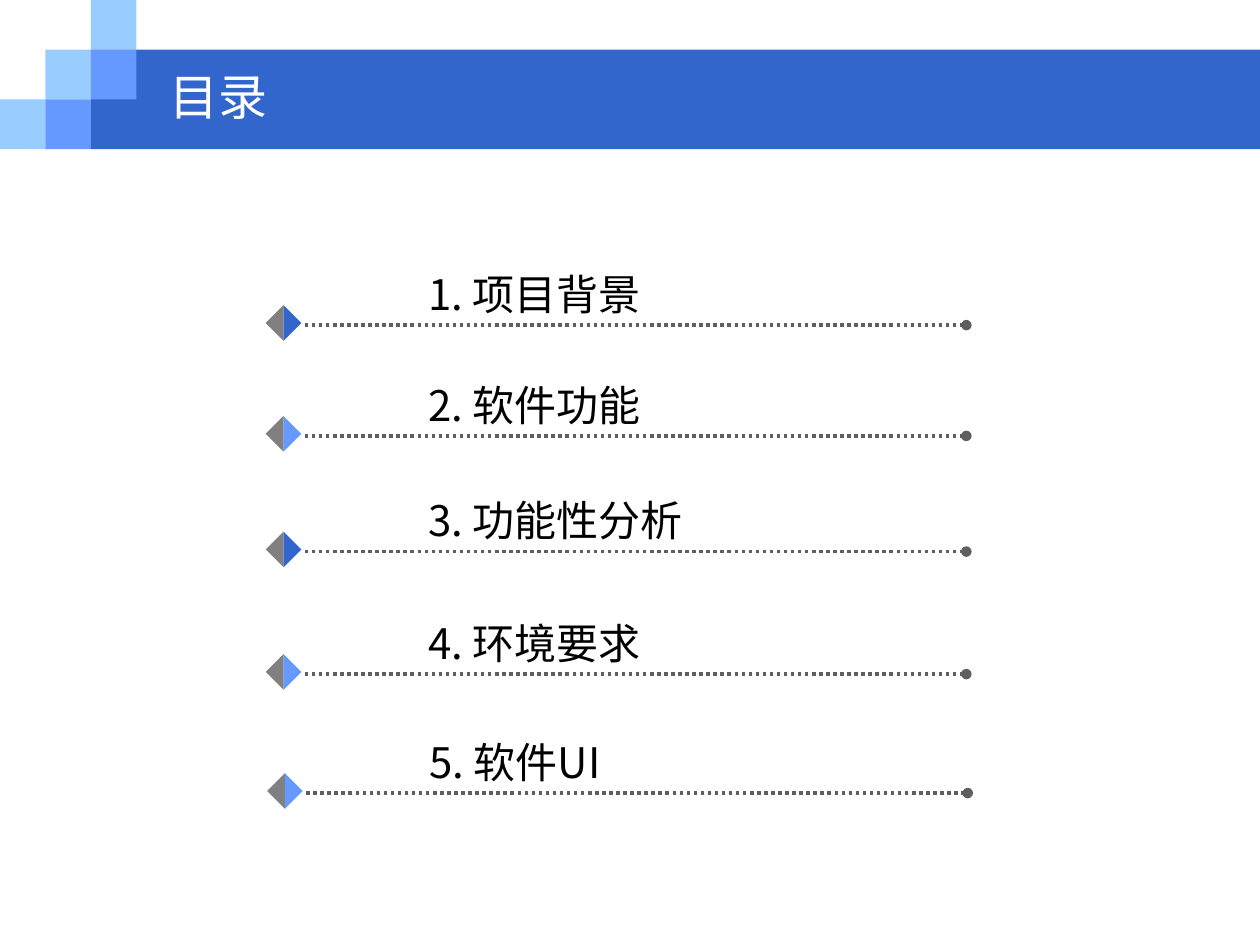
"""Build a contents slide with a stepped header and five dotted entries."""
from dataclasses import dataclass

from lxml import etree
from pptx import Presentation
from pptx.dml.color import RGBColor
from pptx.enum.shapes import MSO_CONNECTOR, MSO_SHAPE
from pptx.enum.text import MSO_ANCHOR, MSO_AUTO_SIZE
from pptx.oxml.ns import qn
from pptx.util import Pt

RECT = MSO_SHAPE.RECTANGLE
TRIANGLE = MSO_SHAPE.RIGHT_TRIANGLE
STRAIGHT = MSO_CONNECTOR.STRAIGHT
TOP, MIDDLE = MSO_ANCHOR.TOP, MSO_ANCHOR.MIDDLE
FIT_SHAPE = MSO_AUTO_SIZE.SHAPE_TO_FIT_TEXT
NO_FIT = MSO_AUTO_SIZE.NONE

BLUE = RGBColor(0x33, 0x66, 0xCC)
MID_BLUE = RGBColor(0x66, 0x99, 0xFF)
LIGHT_BLUE = RGBColor(0x99, 0xCC, 0xFF)
GRAY = RGBColor(0x80, 0x80, 0x80)
DARK_GRAY = RGBColor(0x5F, 0x5F, 0x5F)
WHITE = RGBColor(0xFF, 0xFF, 0xFF)
BLACK = RGBColor(0, 0, 0)

FONT = "Noto Sans CJK SC"
CELL_W, CELL_H = 26, 28.4
MARKER = 14.4


@dataclass
class Entry:
    text: str
    line_y: float
    width: float
    color: RGBColor
    shift: float = 0


LIGHT_CELLS = [(0, 2), (1, 1), (2, 0)]
MID_CELLS = [(2, 1), (1, 2)]
ENTRIES = [
    Entry("1. 项目背景", 185.8, 147.6, BLUE),
    Entry("2. 软件功能", 249.1, 147.6, MID_BLUE),
    Entry("3. 功能性分析", 315.2, 184.3, BLUE),
    Entry("4. 环境要求", 385.2, 159.8, MID_BLUE),
    Entry("5. 软件UI", 453.2, 123.8, MID_BLUE, shift=0.8),
]


def add_block(s, kind, x: float, y: float, w: float, h: float,
              color: RGBColor, rotation: float = 0) -> None:
    """Add a plain filled shape."""
    sp = s.shapes.add_shape(kind, Pt(x), Pt(y), Pt(w), Pt(h))
    sp.shadow.inherit = False
    sp.fill.solid()
    sp.fill.fore_color.rgb = color
    sp.line.fill.background()
    sp.rotation = rotation


def add_text(s, text: str, x: float, y: float, w: float, h: float, *,
             size: float, color: RGBColor, anchor=TOP, wrap: bool = False,
             fit=FIT_SHAPE) -> None:
    """Add a text box with one formatted run."""
    tf = s.shapes.add_textbox(Pt(x), Pt(y), Pt(w), Pt(h)).text_frame
    tf.word_wrap = wrap
    tf.auto_size = fit
    tf.vertical_anchor = anchor
    r = tf.paragraphs[0].add_run()
    r.text = text
    r.font.size = Pt(size)
    r.font.name = FONT
    r.font.color.rgb = color
    etree.SubElement(r.font._element, qn("a:ea"), typeface=FONT)


def add_dotted_line(s, x1: float, x2: float, y: float) -> None:
    """Add a horizontal dotted line ending in a round dot."""
    line = s.shapes.add_connector(STRAIGHT, Pt(x1), Pt(y), Pt(x2), Pt(y))
    line.line.width = Pt(2)
    line.line.color.rgb = DARK_GRAY
    ln = line.line._get_or_add_ln()
    etree.SubElement(ln, qn("a:prstDash"), val="sysDot")
    etree.SubElement(ln, qn("a:tailEnd"), type="oval")
    etree.SubElement(line._element.spPr, qn("a:effectLst"))


def add_entry(s, entry: Entry) -> None:
    """Add one contents entry: line, two-tone marker and label."""
    dx, y = entry.shift, entry.line_y
    add_dotted_line(s, 174.2 + dx, 552.2 + dx, y)
    for color, rotation in ((GRAY, 45), (entry.color, 225)):
        add_block(s, TRIANGLE, 154.8 + dx, y - 8.4, MARKER, MARKER,
                  color, rotation)
    add_text(s, entry.text, 237.6 + dx, y - 36, entry.width, 36.5,
             size=24, color=BLACK)


def main() -> None:
    """Build and save the slide."""
    prs = Presentation()
    prs.slide_width, prs.slide_height = Pt(720), Pt(540)
    s = prs.slides.add_slide(prs.slide_layouts[6])
    add_block(s, RECT, 2 * CELL_W, CELL_H, 720 - 2 * CELL_W, 2 * CELL_H, BLUE)
    for cells, color in ((LIGHT_CELLS, LIGHT_BLUE), (MID_CELLS, MID_BLUE)):
        for col, row in cells:
            add_block(s, RECT, col * CELL_W, row * CELL_H, CELL_W, CELL_H, color)
    add_text(s, "目录", 90, 36, 581.8, 38.2, size=28, color=WHITE,
             anchor=MIDDLE, wrap=True, fit=NO_FIT)
    for entry in ENTRIES:
        add_entry(s, entry)
    prs.save("out.pptx")


if __name__ == "__main__":
    main()
